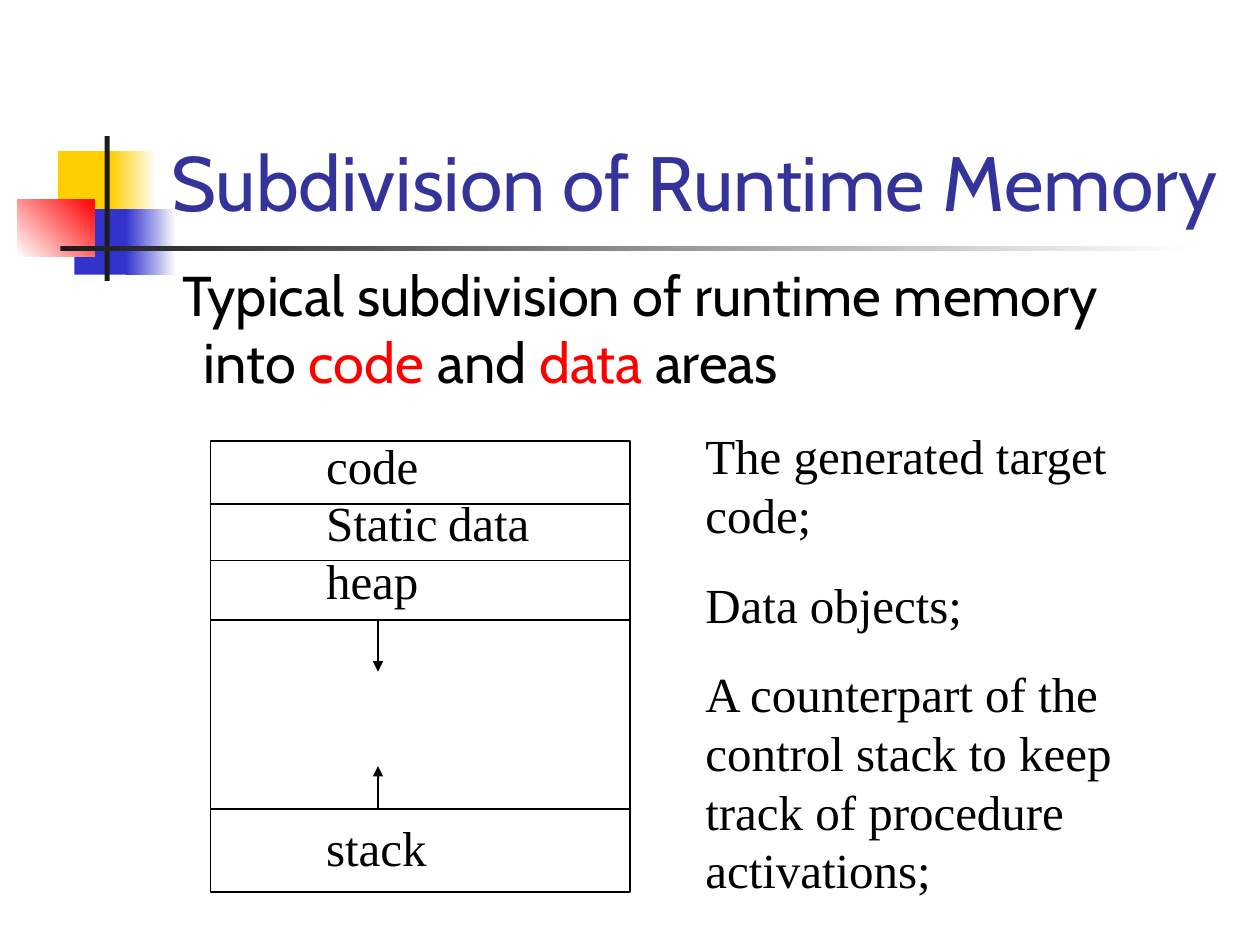
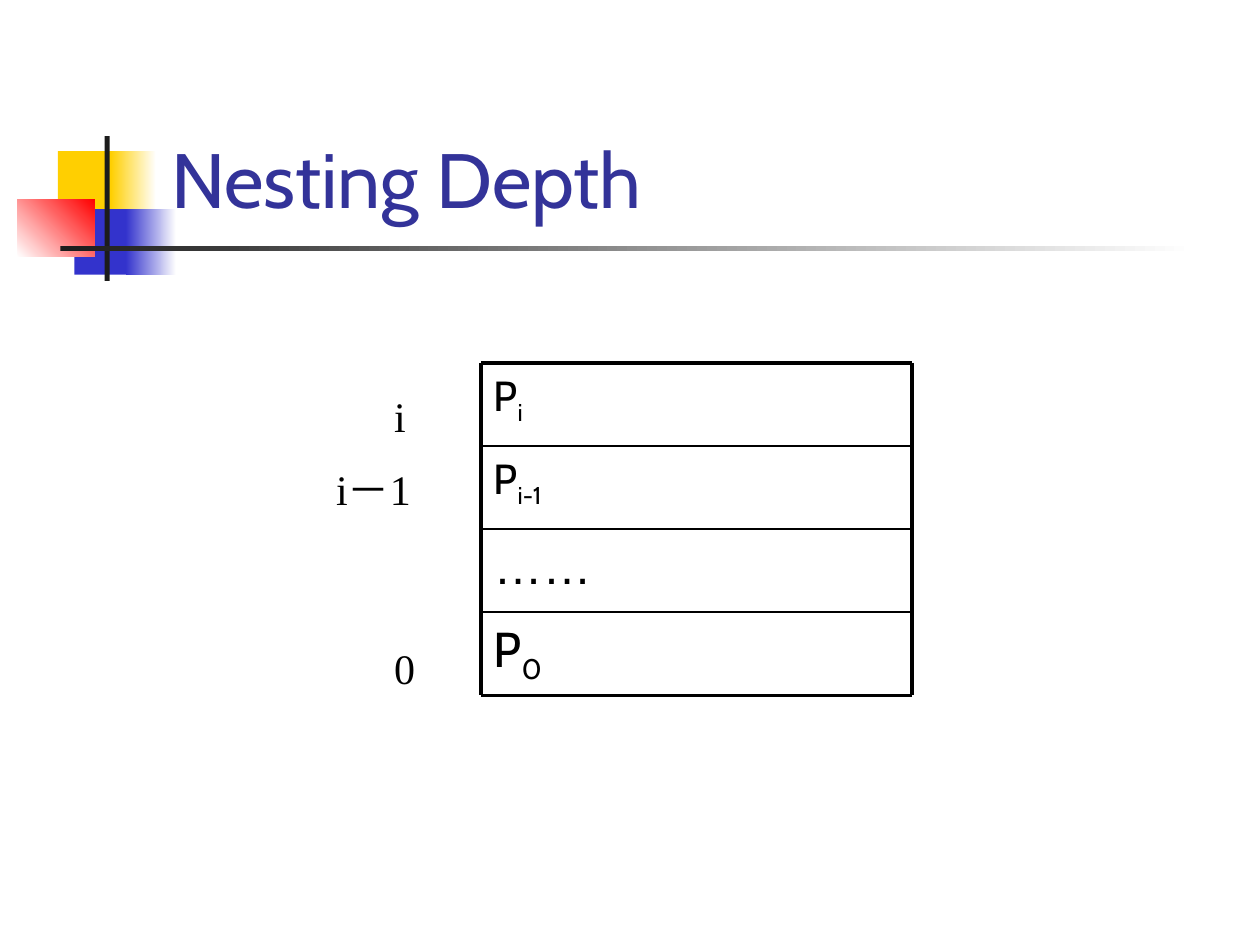
from lxml import etree
from pptx import Presentation
from pptx.dml.color import RGBColor
from pptx.enum.shapes import MSO_CONNECTOR, MSO_SHAPE
from pptx.enum.text import MSO_ANCHOR, MSO_AUTO_SIZE
from pptx.oxml.ns import qn
from pptx.util import Inches, Pt

RECTANGLE = MSO_SHAPE.RECTANGLE
STRAIGHT = MSO_CONNECTOR.STRAIGHT
TOP, BOTTOM = MSO_ANCHOR.TOP, MSO_ANCHOR.BOTTOM
FIT_SHAPE = MSO_AUTO_SIZE.SHAPE_TO_FIT_TEXT

COLORS = {
    "black": "000000", "white": "FFFFFF", "title": "333399", "yellow": "FFCF01",
    "blue": "3333CC", "red": "FF0000", "rule": "1C1C1C",
}
SANS, SERIF, DOTS = "Cabin", "Times New Roman", "Arial"
THIN, MEDIUM, THICK = 0.74, 0.99, 2.24


def color(name):
    return RGBColor.from_string(COLORS[name])


def add_block(shapes, box, start, end=None, angle=0):
    block = shapes.add_shape(RECTANGLE, *map(Inches, box))
    block.shadow.inherit = False
    block.line.fill.background()
    if end is None:
        block.fill.solid()
        block.fill.fore_color.rgb = color(start)
        return
    block.fill.gradient()
    block.fill.gradient_angle = angle
    for stop, name in zip(block.fill.gradient_stops, (start, end)):
        stop.color.rgb = color(name)


def add_line(shapes, start, end, width, arrow=False):
    line = shapes.add_connector(STRAIGHT, *map(Inches, (*start, *end)))
    line.line.color.rgb = color("black")
    line.line.width = Pt(width)
    properties = line._element.spPr
    if arrow:
        etree.SubElement(properties.find(qn("a:ln")), qn("a:tailEnd"), type="triangle")
    etree.SubElement(properties, qn("a:effectLst"))


def add_text(shapes, box, wrap=True, anchor=TOP, grow=False):
    frame = shapes.add_textbox(*map(Inches, box)).text_frame
    frame.word_wrap = wrap
    frame.vertical_anchor = anchor
    if grow:
        frame.auto_size = FIT_SHAPE
    return frame


def add_span(para, text, size, font, name="black", subscript=False):
    span = para.add_run()
    span.text = text
    span.font.size = Pt(size)
    span.font.name = font
    span.font.color.rgb = color(name)
    if subscript:
        span.font._element.set("baseline", "-25000")


def add_label(shapes, box, spans):
    para = add_text(shapes, box, wrap=False, grow=True).paragraphs[0]
    for text, size in spans:
        add_span(para, text, size, SERIF)


def add_decoration(shapes, left, top):
    blocks = [
        ((0.32, 0.12, 0.48, 0.52), "yellow"),
        ((0.74, 0.12, 0.36, 0.52), "yellow", "white"),
        ((0.45, 0.58, 0.46, 0.52), "blue"),
        ((0.86, 0.58, 0.4, 0.52), "blue", "white"),
        ((0, 0.5, 0.61, 0.46), "white", "red", 45),
        ((0.69, 0, 0.04, 1.15), "rule"),
        ((0.34, 0.87, 9, 0.04), "rule", "white"),
    ]
    for (x, y, width, height), *fill in blocks:
        add_block(shapes, (left + x, top + y, width, height), *fill)


def add_page(deck, title, title_box):
    page = deck.slides.add_slide(deck.slide_layouts[6])
    add_decoration(page.shapes, 0.14, 1.08)
    frame = add_text(page.shapes, title_box, anchor=BOTTOM)
    add_span(frame.paragraphs[0], title, 44, SANS, "title")
    return page.shapes


def add_lead(shapes, box):
    para = add_text(shapes, box).paragraphs[0]
    para.space_before = Pt(8)
    indents = para._p.get_or_add_pPr()
    indents.set("marL", str(Inches(0.38)))
    indents.set("indent", str(Inches(-0.17)))
    for text, name in [
        ("Typical subdivision of runtime memory into ", "black"), ("code ", "red"),
        ("and", "black"), (" data ", "red"), ("areas", "black"),
    ]:
        add_span(para, text, 32, SANS, name)


def add_memory_map(shapes, left, top, width, height):
    group = shapes.add_group_shape().shapes
    frame = group.add_shape(RECTANGLE, *map(Inches, (left, top, width, height)))
    frame.shadow.inherit = False
    frame.fill.background()
    frame.line.color.rgb = color("black")
    frame.line.width = Pt(THIN)

    heap_end, stack_start = 1.42, 2.92
    for offset in (0.5, 0.95, heap_end, stack_start):
        add_line(group, (left, top + offset), (left + width, top + offset), THIN)
    for spans, offset, label_width in [
        ([("code", 28)], -0.09, 1),
        ([("Static", 28), (" ", 24), ("data", 28)], 0.36, 2),
        ([("heap", 28)], 0.82, 1),
        ([("stack", 28)], 2.94, 1.1),
    ]:
        add_label(group, (left + 0.82, top + offset, label_width, 0.57), spans)

    middle = left + 1.33
    for start, reach in [(heap_end, 0.41), (stack_start, -0.34)]:
        add_line(group, (middle, top + start), (middle, top + start + reach), THIN, arrow=True)


def add_explanations(shapes, box):
    frame = add_text(shapes, box, grow=True)
    texts = [
        "The generated target code;",
        "Data objects;",
        "A counterpart of the control stack to keep track of procedure activations;",
    ]
    for index, text in enumerate(texts):
        para = frame.add_paragraph() if index else frame.paragraphs[0]
        para.space_before = Pt(17.5)
        add_span(para, text, 28, SERIF)


def add_stack_grid(shapes, left, top, width, height):
    rows = [
        ("P", "i", 24, SANS), ("P", "i-1", 24, SANS),
        ("……", "", 28, DOTS), ("P", "0", 28, SANS),
    ]
    step = height / len(rows)
    right, bottom = left + width, top + height
    for index, (text, subscript, size, font) in enumerate(rows):
        para = add_text(shapes, (left, top + index * step, width, step)).paragraphs[0]
        para.space_before = Pt(size / 4)
        add_span(para, text, size, font)
        if subscript:
            add_span(para, subscript, size, font, subscript=True)
    for index in range(len(rows) + 1):
        y = top + index * step
        add_line(shapes, (left, y), (right, y), THICK if index in (0, len(rows)) else MEDIUM)
    for x in (left, right):
        add_line(shapes, (x, top), (x, bottom), THICK)


def add_depth_labels(shapes, left, top):
    for text, x, y, width in [
        ("i", 0.46, 0, 0.29), ("i\uff0d1", 0, 0.58, 0.95), ("0", 0.46, 2, 0.36),
    ]:
        add_label(shapes, (left + x, top + y, width, 0.5), [(text, 24)])


def build_memory_page(deck):
    shapes = add_page(deck, "Subdivision of Runtime Memory", (1.26, 0.36, 8.52, 1.49))
    add_lead(shapes, (1.14, 2.02, 8.45, 5.07))
    add_memory_map(shapes, 1.67, 3.5, 3.33, 3.58)
    add_explanations(shapes, (5.5, 3.33, 4.08, 3.86))


def build_nesting_page(deck):
    shapes = add_page(deck, "Nesting Depth", (1.26, 0.23, 8.52, 1.6))
    add_stack_grid(shapes, 3.82, 2.88, 3.42, 2.64)
    add_depth_labels(shapes, 2.57, 3.05)


deck = Presentation()
deck.slide_width, deck.slide_height = Inches(10), Inches(7.5)
build_memory_page(deck)
build_nesting_page(deck)
deck.save("out.pptx")
